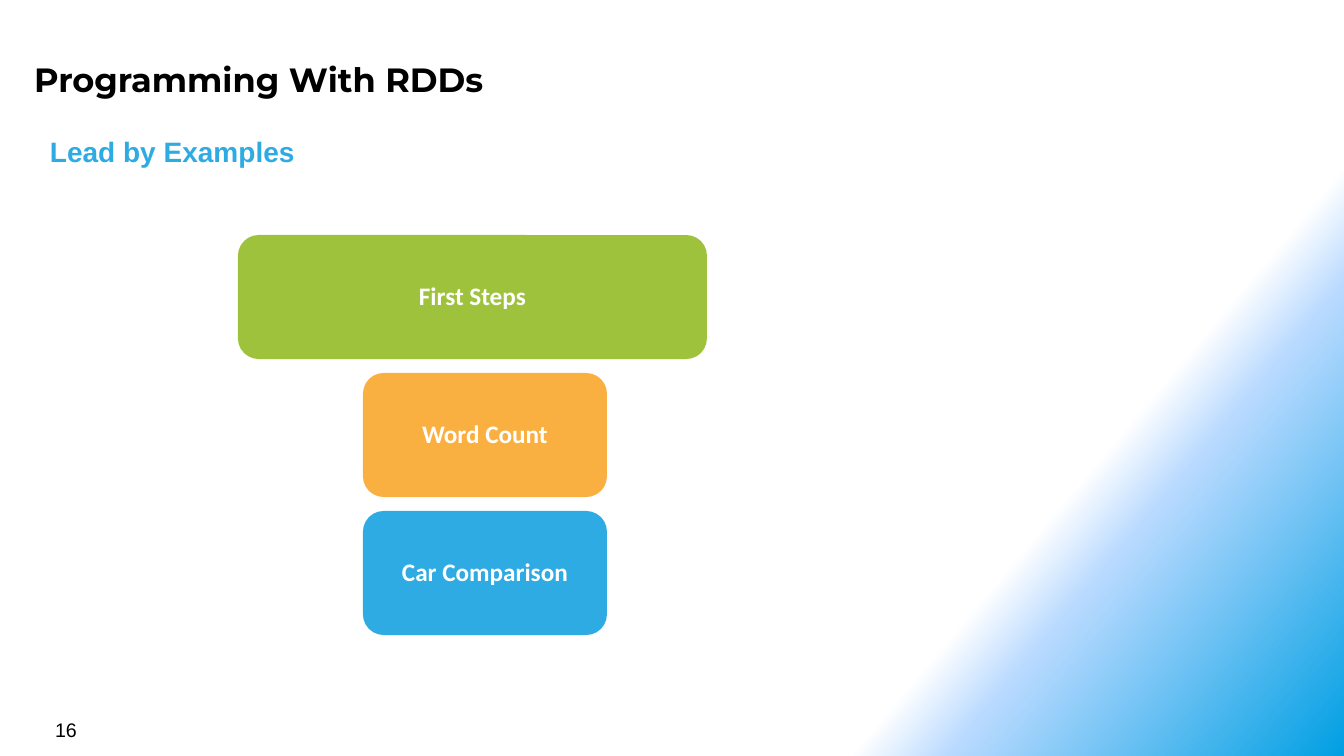
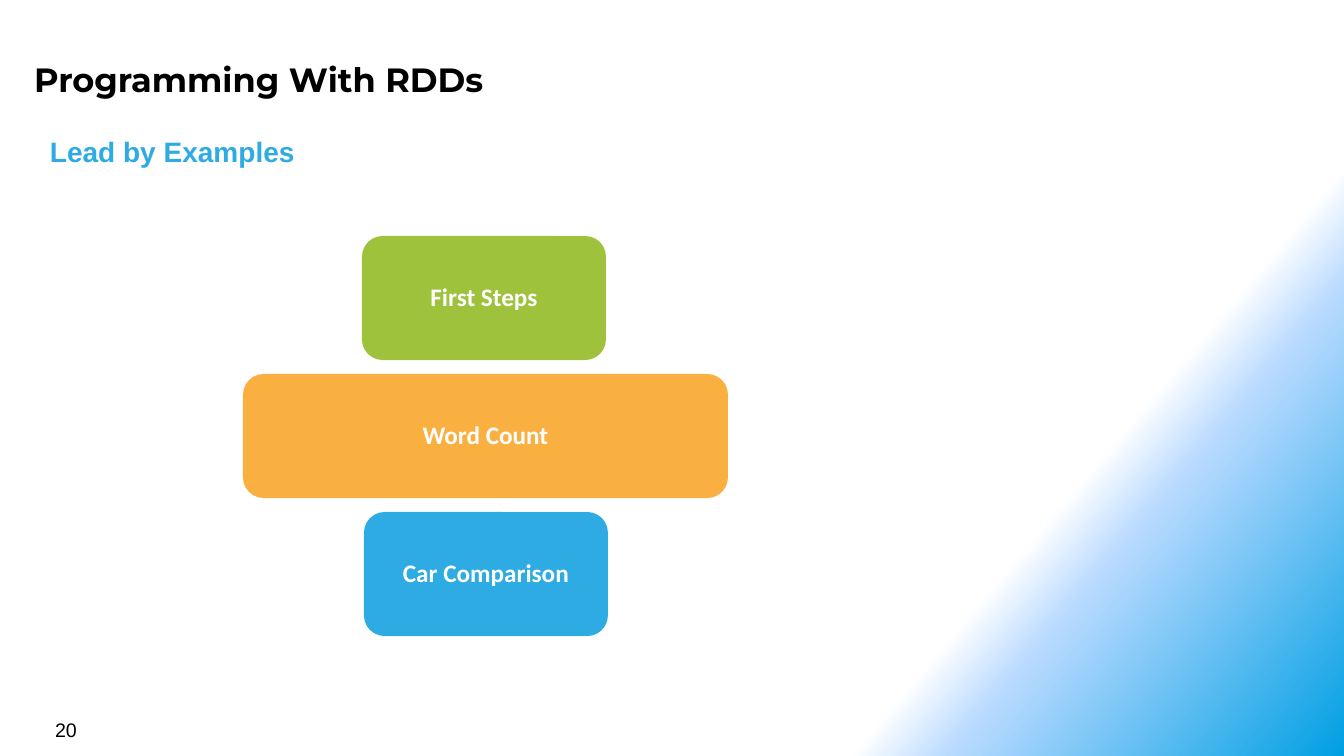
from lxml import etree
from pptx import Presentation
from pptx import util as u
from pptx.dml.color import RGBColor
from pptx.enum import shapes, text
from pptx.oxml.ns import qn

PX = 12192000 / 1344  # EMU in one px
BLACK, WHITE = "000000", "FFFFFF"
GREEN, AMBER, BLUE = "9EC23C", "FAB041", "2EABE2"
# Backdrop stops: place, colour, opacity (all but colour in percent)
STOPS = [(75, WHITE, 100), (80, "B9DAFF", 50), (100, "009FE3", 100)]
ANGLE = 40


def px(n):
    return u.Emu(round(n * PX))


def rgb(code):
    return RGBColor.from_string(code)


class Deck:
    """Holds the style and the current slide."""

    def __init__(self):
        self.prs = Presentation()
        self.prs.slide_width, self.prs.slide_height = px(1344), px(756)
        self.slide = None

    # New slide with the shared backdrop, title, page number and subtitle
    def page(self, num):
        self.slide = self.prs.slides.add_slide(self.prs.slide_layouts[6])
        self.shade()
        self.label("Programming With RDDs", (26, 51, 1236, 55), 24,
                   "Montserrat", BLACK, True, (8, 8, 8, 8))
        self.label(str(num), (45, 713, 313, 33), 14, "Arial", BLACK)
        self.label("Lead by Examples", (50, 134, 437, 39), 20,
                   "Arial", BLUE, True, (0, 0, 0, 5))

    # Diagonal gradient behind the slide
    def shade(self):
        self.slide.background.fill.gradient()
        grad = next(self.slide.element.iter(qn("a:gradFill")))
        stops = grad.find(qn("a:gsLst"))
        for old in list(stops):
            stops.remove(old)
        for pos, code, alpha in STOPS:
            stop = etree.SubElement(stops, qn("a:gs"), pos=str(pos * 1000))
            tint = etree.SubElement(stop, qn("a:srgbClr"), val=code)
            if alpha < 100:
                etree.SubElement(tint, qn("a:alpha"), val=str(alpha * 1000))
        grad.find(qn("a:lin")).set("ang", str(ANGLE * 60000))

    # Frame margins: left, top, right, bottom
    def pad(self, frame, gaps):
        frame.word_wrap = True
        (frame.margin_left, frame.margin_top,
         frame.margin_right, frame.margin_bottom) = map(px, gaps)

    # One styled run
    def run(self, par, words, size, face, code, bold):
        run = par.add_run()
        run.text = words
        font = run.font
        font.size, font.name, font.bold = u.Pt(size), face, bold
        font.color.rgb = rgb(code)

    # Plain text box
    def label(self, words, area, size, face, code, bold=False,
              gaps=(10, 5, 10, 5)):
        frame = self.slide.shapes.add_textbox(*map(px, area)).text_frame
        self.pad(frame, gaps)
        self.run(frame.paragraphs[0], words, size, face, code, bold)

    # Rounded box with a centred caption
    def box(self, words, area, code):
        shape = self.slide.shapes.add_shape(
            shapes.MSO_SHAPE.ROUNDED_RECTANGLE, *map(px, area))
        shape.shadow.inherit = False
        shape.fill.solid()
        shape.fill.fore_color.rgb = rgb(code)
        shape.line.fill.background()
        frame = shape.text_frame
        frame.vertical_anchor = text.MSO_ANCHOR.MIDDLE
        self.pad(frame, (7, 4, 7, 4))
        par = frame.paragraphs[0]
        par.alignment = text.PP_ALIGN.CENTER
        par.line_spacing = 0.9
        self.run(par, words, 18, "Calibri", WHITE, True)

    # Stack of boxes; each span is left and width
    def stack(self, top, spans):
        for row, ((words, code), (left, width)) in enumerate(zip(STEPS, spans)):
            self.box(words, (left, top + row * 138, width, 124), code)


STEPS = [("First Steps", GREEN), ("Word Count", AMBER),
         ("Car Comparison", BLUE)]

# Page number, top of the stack, spans; the wide box is the current step
PAGES = [
    (16, 235, [(238, 469), (363, 244), (363, 244)]),
    (20, 236, [(362, 244), (243, 485), (364, 244)]),
]


def main():
    deck = Deck()
    for num, top, spans in PAGES:
        deck.page(num)
        deck.stack(top, spans)
    deck.prs.save("out.pptx")


if __name__ == "__main__":
    main()
